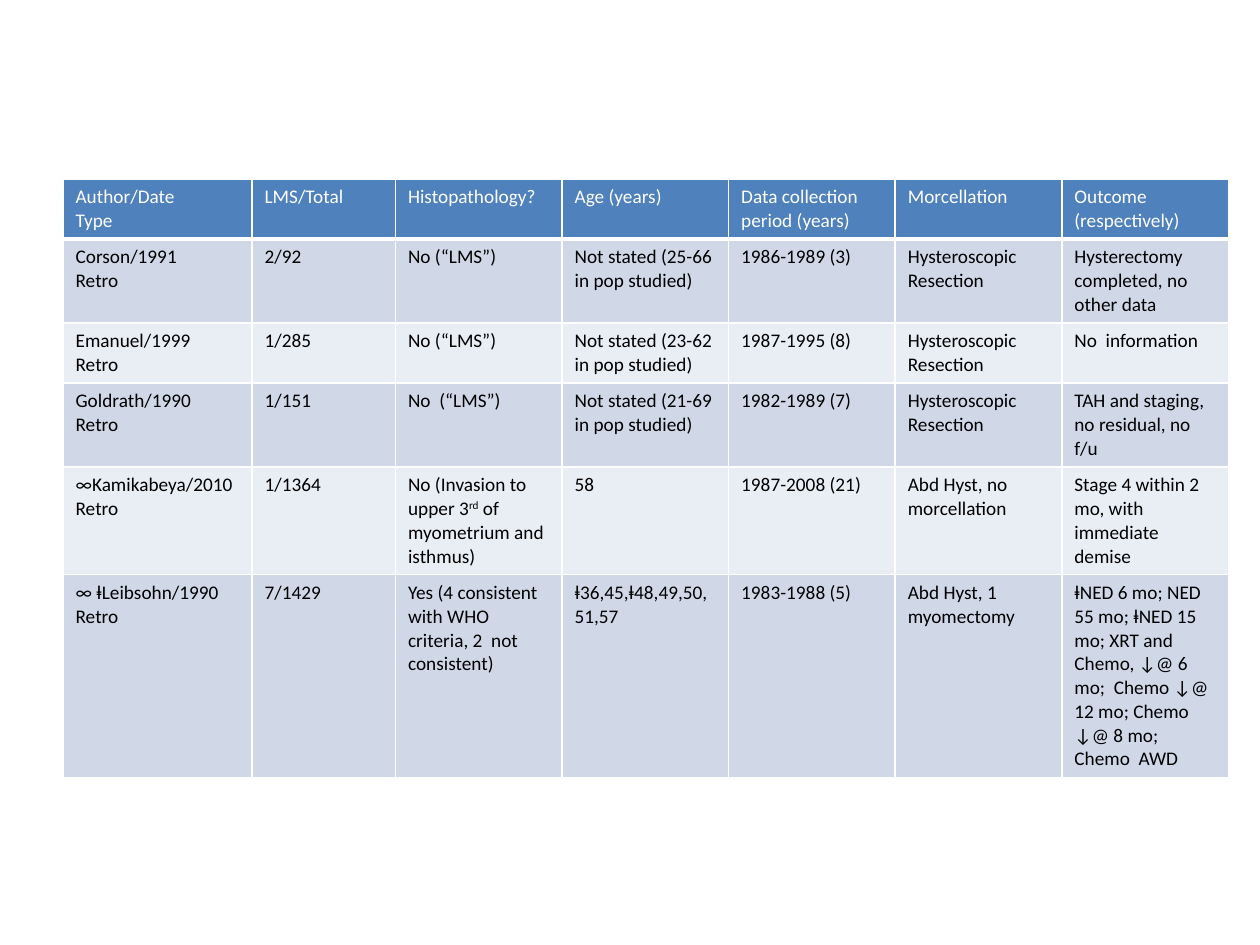
import pptx
import pptx.dml.color
import pptx.oxml
import pptx.oxml.ns
import pptx.util

Pt = pptx.util.Pt

HEADER = ["Author/Date\nType", "LMS/Total", "Histopathology?", "Age (years)",
          "Data collection period (years)", "Morcellation",
          "Outcome\n(respectively)"]
STUDIES = [
    ["Corson/1991\nRetro", "2/92", "No (“LMS”)",
     "Not stated (25-66 in pop studied)", "1986-1989 (3)",
     "Hysteroscopic Resection", "Hysterectomy completed, no other data"],
    ["Emanuel/1999\nRetro", "1/285", "No (“LMS”)",
     "Not stated (23-62 in pop studied)", "1987-1995 (8)",
     "Hysteroscopic Resection", "No  information"],
    ["Goldrath/1990\nRetro", "1/151", "No  (“LMS”)",
     "Not stated (21-69 in pop studied)", "1982-1989 (7)",
     "Hysteroscopic Resection", "TAH and staging, no residual, no f/u"],
    # ^ encloses superscript text
    ["∞Kamikabeya/2010\nRetro", "1/1364",
     "No (Invasion to upper 3^rd^ of myometrium and isthmus)",
     "58", "1987-2008 (21)", "Abd Hyst, no morcellation",
     "Stage 4 within 2 mo, with  immediate  demise"],
    ["∞ ⱡLeibsohn/1990\nRetro", "7/1429",
     "Yes (4 consistent with WHO criteria, 2  not consistent)",
     "ⱡ36,45,ⱡ48,49,50,51,57", "1983-1988 (5)", "Abd Hyst, 1 myomectomy",
     "ⱡNED 6 mo; NED 55 mo; ⱡNED 15 mo; XRT and Chemo, ↓@ 6 mo;  "
     "Chemo ↓@ 12 mo; Chemo  ↓@ 8 mo; Chemo  AWD"],
]
COLUMN_WIDTHS = [108, 82] + [95.2] * 5
ROW_HEIGHT = 29.5  # minimum; rows grow with their text
WHITE, BLACK, BLUE = "FFFFFF", "000000", "4F81BD"
BANDS = ["D0D8E8", "E9EDF4"]


def rgb(color):
    return pptx.dml.color.RGBColor.from_string(color)


def set_borders(cell, bottom):
    """White cell borders, placed before the fill as the schema requires."""
    tc_pr = cell._tc.get_or_add_tcPr()
    widths = [("lnL", 1), ("lnR", 1), ("lnT", 1), ("lnB", bottom)]
    for i, (tag, width) in enumerate(widths):
        tc_pr.insert(i, pptx.oxml.parse_xml(
            f'<a:{tag} {pptx.oxml.ns.nsdecls("a")} w="{Pt(width)}">'
            f'<a:solidFill><a:srgbClr val="{WHITE}"/></a:solidFill></a:{tag}>'))


def write_cell(cell, text, fill, color, bottom=1):
    cell.fill.solid()
    cell.fill.fore_color.rgb = rgb(fill)
    set_borders(cell, bottom)
    tf = cell.text_frame
    tf.text = text
    for p in tf.paragraphs:
        parts = p.text.split("^")
        p.text = parts[0]
        for part in parts[1:]:
            p.add_run().text = part
        for i, r in enumerate(p.runs):
            r.font.name = "Calibri"
            r.font.size = Pt(11)
            r.font.bold = False
            r.font.color.rgb = rgb(color)
            if i % 2:
                r.font._element.set("baseline", "30000")


def add_study_table(slide):
    rows = [HEADER] + STUDIES
    frame = slide.shapes.add_table(len(rows), len(HEADER), Pt(36), Pt(102.2),
                                   Pt(666), Pt(333.4))
    table = frame.table
    for column, width in zip(table.columns, COLUMN_WIDTHS):
        column.width = Pt(width)
    for i, texts in enumerate(rows):
        table.rows[i].height = Pt(ROW_HEIGHT)
        for j, text in enumerate(texts):
            cell = table.cell(i, j)
            if i == 0:
                write_cell(cell, text, BLUE, WHITE, bottom=3)
            else:
                write_cell(cell, text, BANDS[(i - 1) % 2], BLACK)
    frame.height = Pt(333.4)


def main():
    prs = pptx.Presentation()
    prs.slide_width, prs.slide_height = Pt(720), Pt(540)
    # Blank layout: the slide holds only the table
    s = prs.slides.add_slide(prs.slide_layouts[6])
    add_study_table(s)
    prs.save("out.pptx")


if __name__ == "__main__":
    main()
